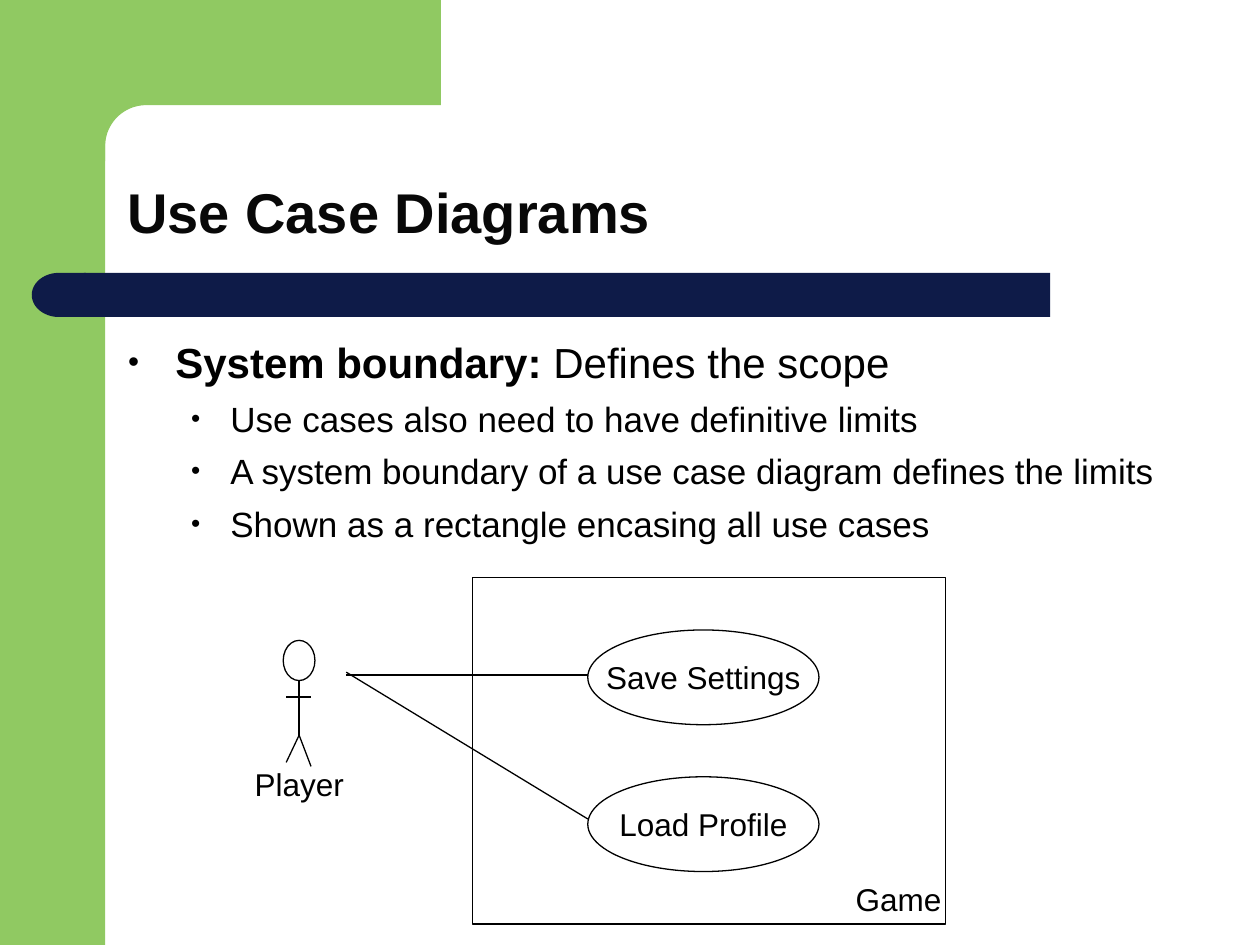
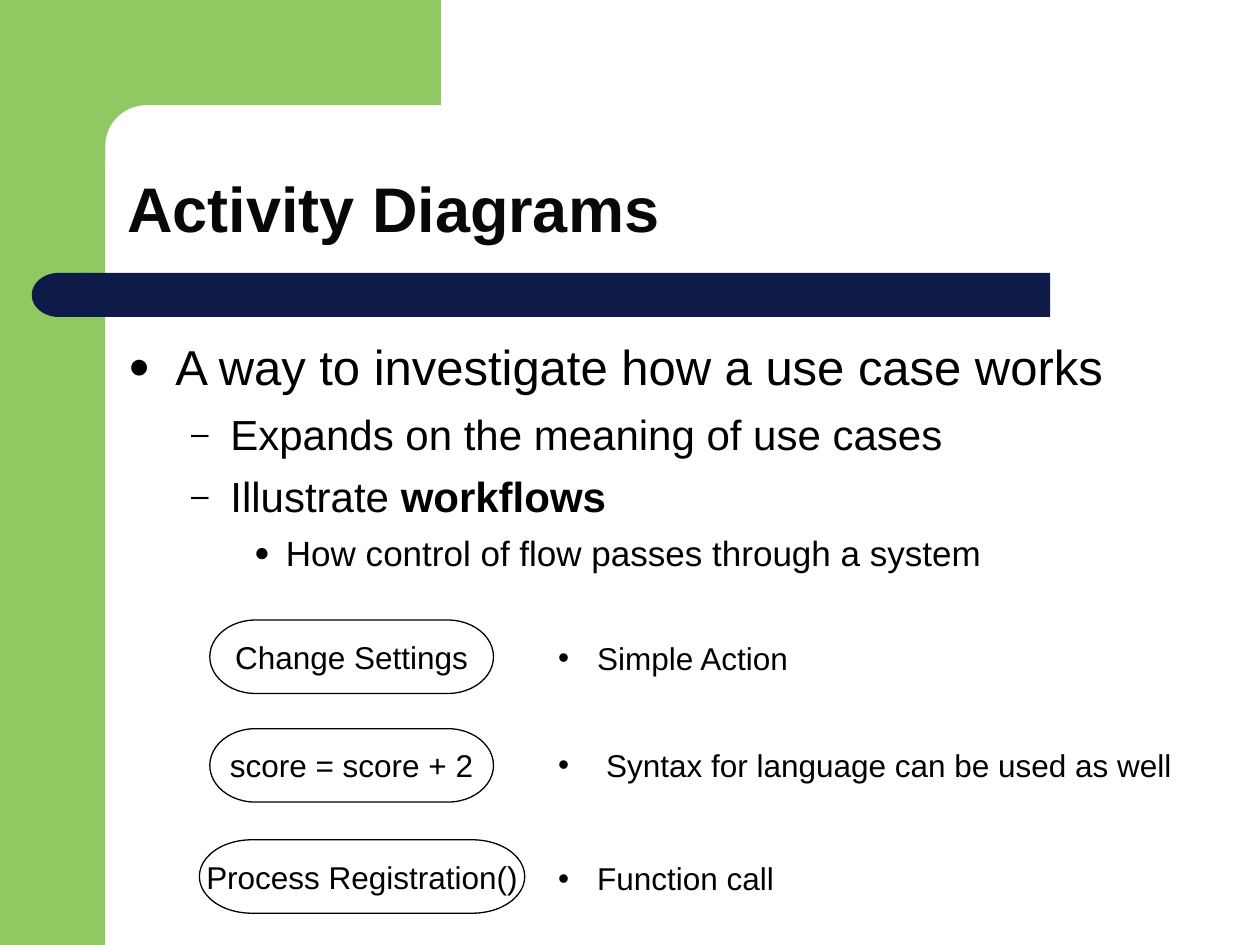
import math
from dataclasses import dataclass

from lxml import etree
from pptx import Presentation
from pptx import util as u
from pptx.dml.color import RGBColor
from pptx.enum import shapes, text
from pptx.oxml import ns

Cm, Pt = u.Cm, u.Pt
Kind = shapes.MSO_SHAPE
Align = text.PP_ALIGN
Anchor = text.MSO_ANCHOR


@dataclass(frozen=True)
class Theme:
    green: RGBColor = RGBColor(0x90, 0xC9, 0x62)
    navy: RGBColor = RGBColor(0x0E, 0x1B, 0x48)
    title: RGBColor = RGBColor(0x08, 0x08, 0x08)
    ink: RGBColor = RGBColor(0, 0, 0)
    font: str = "Arial"
    label_size: float = 18
    line_width: float = 0.75
    bullet_percent: int = 75


@dataclass(frozen=True)
class Box:
    left: float
    top: float
    width: float
    height: float

    def lengths(self) -> tuple:
        return Cm(self.left), Cm(self.top), Cm(self.width), Cm(self.height)


@dataclass(frozen=True)
class Line:
    x1: float
    y1: float
    x2: float
    y2: float


@dataclass(frozen=True)
class Item:
    runs: tuple
    size: float
    bullet: str
    level: int = 0
    space: float = 0


@dataclass(frozen=True)
class Node:
    label: str
    box: Box


@dataclass(frozen=True)
class Action:
    node: Node
    note: str
    note_top: float
    note_width: float = 9.09
    note_indent: float = 0.79


THEME = Theme()
INDENTS = ((0.95, 0.95), (2.06, 0.79), (3.18, 0.64))
TITLE_BOX = Box(2.31, 2.31, 21.62, 2.77)

BOUNDARY_ITEMS = (
    Item((("System boundary:", True), (" Defines the scope", False)), 24, "•"),
    *(Item(((line, False),), 20, "•", 1, 6) for line in (
        "Use cases also need to have definitive limits",
        "A system boundary of a use case diagram defines the limits",
        "Shown as a rectangle encasing all use cases")),
)
ACTIVITY_ITEMS = (
    Item((("A way to investigate how a use case works", False),), 28, "●"),
    Item((("Expands on the meaning of use cases", False),), 24, "–", 1, 7.5),
    Item((("Illustrate ", False), ("workflows", True)), 24, "–", 1, 7),
    Item((("How control of flow passes through a system", False),),
         20, "●", 2, 6),
)
USE_CASES = (
    Node("Save Settings", Box(11.85, 12.7, 4.66, 1.91)),
    Node("Load Profile", Box(11.85, 15.66, 4.66, 1.91)),
)
SYSTEM_BOX = Box(9.53, 11.64, 9.53, 6.99)
ACTOR_HEAD = Box(5.71, 12.91, 0.64, 0.81)
ACTOR_LINES = (
    Line(6.03, 13.72, 6.03, 14.86),
    Line(5.77, 14.05, 6.27, 14.05),
    Line(6.03, 14.82, 6.27, 15.45),
    Line(5.77, 15.37, 6.03, 14.82),
)
ASSOCIATIONS = (
    Line(6.98, 13.61, 11.85, 13.61),
    Line(6.98, 13.55, 11.85, 16.51),
)
ACTIONS = (
    Action(Node("Change Settings", Box(4.23, 12.5, 5.72, 1.48)),
           "Simple Action", 12.75),
    Action(Node("score = score + 2", Box(4.23, 14.69, 5.72, 1.48)),
           "Syntax for language can be used as well", 14.91, 13.34, 0.97),
    Action(Node("Process Registration()", Box(4.02, 16.93, 6.56, 1.48)),
           "Function call", 17.2),
)


def write(paragraph, content: str, *, size: float = THEME.label_size,
          bold: bool = False, color: RGBColor = THEME.ink) -> None:
    run = paragraph.add_run()
    run.text = content
    run.font.name = THEME.font
    run.font.size = Pt(size)
    run.font.bold = bold
    run.font.color.rgb = color


def set_bullet(paragraph, mark: str, margin: float, hanging: float,
               percent: int = 100) -> None:
    properties = paragraph._p.get_or_add_pPr()
    properties.set("marL", str(Cm(margin)))
    properties.set("indent", str(-Cm(hanging)))
    color = etree.SubElement(properties, ns.qn("a:buClr"))
    etree.SubElement(color, ns.qn("a:srgbClr"), val=str(THEME.ink))
    etree.SubElement(properties, ns.qn("a:buSzPct"), val=str(percent * 1000))
    etree.SubElement(properties, ns.qn("a:buFont"), typeface=THEME.font)
    etree.SubElement(properties, ns.qn("a:buChar"), char=mark)


def place(shape, box: Box) -> None:
    shape.left, shape.top, shape.width, shape.height = box.lengths()


def paint(shape, color: RGBColor):
    shape.shadow.inherit = False
    shape.fill.solid()
    shape.fill.fore_color.rgb = color
    shape.line.fill.background()
    return shape


def add_outline(target, kind: Kind, box: Box):
    shape = target.add_shape(kind, *box.lengths())
    shape.shadow.inherit = False
    shape.fill.background()
    shape.line.color.rgb = THEME.ink
    shape.line.width = Pt(THEME.line_width)
    return shape


def add_node(target, kind: Kind, node: Node, align: Align = Align.CENTER,
             anchor: Anchor = Anchor.MIDDLE):
    shape = add_outline(target, kind, node.box)
    frame = shape.text_frame
    frame.word_wrap = False
    frame.vertical_anchor = anchor
    frame.paragraphs[0].alignment = align
    write(frame.paragraphs[0], node.label)
    return shape


def add_line(target, line: Line) -> None:
    connector = target.add_connector(
        shapes.MSO_CONNECTOR.STRAIGHT,
        Cm(line.x1), Cm(line.y1), Cm(line.x2), Cm(line.y2))
    connector.line.color.rgb = THEME.ink
    connector.line.width = Pt(THEME.line_width)
    etree.SubElement(connector.element.spPr, ns.qn("a:effectLst"))


def add_label(target, box: Box):
    frame = target.add_textbox(*box.lengths()).text_frame
    frame.word_wrap = True
    return frame.paragraphs[0]


def build_layout(layout, slide) -> None:
    target = slide.shapes
    side = target.add_shape(Kind.RECTANGLE, *Box(0, 0, 2.12, 19.05).lengths())
    radius, center_x, center_y = 0.83, 2.95, 2.95
    arc = [(center_x - radius * math.sin(angle),
            center_y - radius * math.cos(angle))
           for angle in (math.radians(step) for step in range(0, 91, 6))]
    points = [(8.89, 2.12), *arc, (2.12, 3.25), (1.27, 3.25), (1.27, 0)]
    builder = target.build_freeform(Cm(8.89), 0)
    builder.add_line_segments([(Cm(x), Cm(y)) for x, y in points], close=True)
    corner = builder.convert_to_shape()
    band = target.add_shape(Kind.RECTANGLE,
                            *Box(1.69, 5.5, 19.48, 0.89).lengths())
    cap = target.add_shape(Kind.FLOWCHART_DELAY,
                           *Box(0.64, 5.5, 1.09, 0.89).lengths())
    cap.rotation = 180
    colors = (THEME.green, THEME.green, THEME.navy, THEME.navy)
    for index, (shape, color) in enumerate(zip((side, corner, band, cap), colors)):
        layout.shapes.element.insert(2 + index, paint(shape, color).element)


def fill_slide(slide, title: str, title_size: float, items: tuple[Item, ...],
               body_height: float) -> None:
    heading = slide.shapes.title
    place(heading, TITLE_BOX)
    frame = heading.text_frame
    frame.auto_size = text.MSO_AUTO_SIZE.NONE
    frame.vertical_anchor = Anchor.BOTTOM
    frame.paragraphs[0].alignment = Align.LEFT
    frame.paragraphs[0].line_spacing = 0.9
    write(frame.paragraphs[0], title, size=title_size, bold=True,
          color=THEME.title)

    body = slide.placeholders[1]
    place(body, Box(2.33, 6.65, 21.36, body_height))
    frame = body.text_frame
    frame.auto_size = text.MSO_AUTO_SIZE.NONE
    for index, item in enumerate(items):
        paragraph = frame.add_paragraph() if index else frame.paragraphs[0]
        paragraph.level = item.level
        set_bullet(paragraph, item.bullet, *INDENTS[item.level],
                   THEME.bullet_percent)
        paragraph.space_before = Pt(item.space)
        for content, bold in item.runs:
            write(paragraph, content, size=item.size, bold=bold)


def draw_use_cases(slide) -> None:
    target = slide.shapes
    for use_case in USE_CASES:
        add_node(target, Kind.OVAL, use_case)
    system = add_node(target, Kind.RECTANGLE, Node("Game", SYSTEM_BOX),
                      Align.RIGHT, Anchor.BOTTOM)
    system.text_frame.word_wrap = True
    system.text_frame.margin_right = Cm(0.08)
    actor = target.add_group_shape().shapes
    add_outline(actor, Kind.OVAL, ACTOR_HEAD)
    for line in ACTOR_LINES:
        add_line(actor, line)
    label = add_label(target, Box(4.87, 15.3, 2.33, 1.03))
    label.alignment = Align.CENTER
    write(label, "Player")
    for line in ASSOCIATIONS:
        add_line(target, line)


def draw_actions(slide) -> None:
    for action in ACTIONS:
        add_node(slide.shapes, Kind.FLOWCHART_TERMINATOR, action.node)
        note = add_label(slide.shapes,
                         Box(11, action.note_top, action.note_width, 1.03))
        set_bullet(note, "•", action.note_indent, action.note_indent)
        write(note, action.note)


def main() -> None:
    presentation = Presentation()
    presentation.slide_width, presentation.slide_height = Cm(25.4), Cm(19.05)
    layout = presentation.slide_layouts[1]
    use_case_slide = presentation.slides.add_slide(layout)
    build_layout(layout, use_case_slide)
    fill_slide(use_case_slide, "Use Case Diagrams", 32, BOUNDARY_ITEMS, 10.34)
    draw_use_cases(use_case_slide)
    activity_slide = presentation.slides.add_slide(layout)
    fill_slide(activity_slide, "Activity Diagrams", 36, ACTIVITY_ITEMS, 5.92)
    draw_actions(activity_slide)
    presentation.save("out.pptx")


if __name__ == "__main__":
    main()
